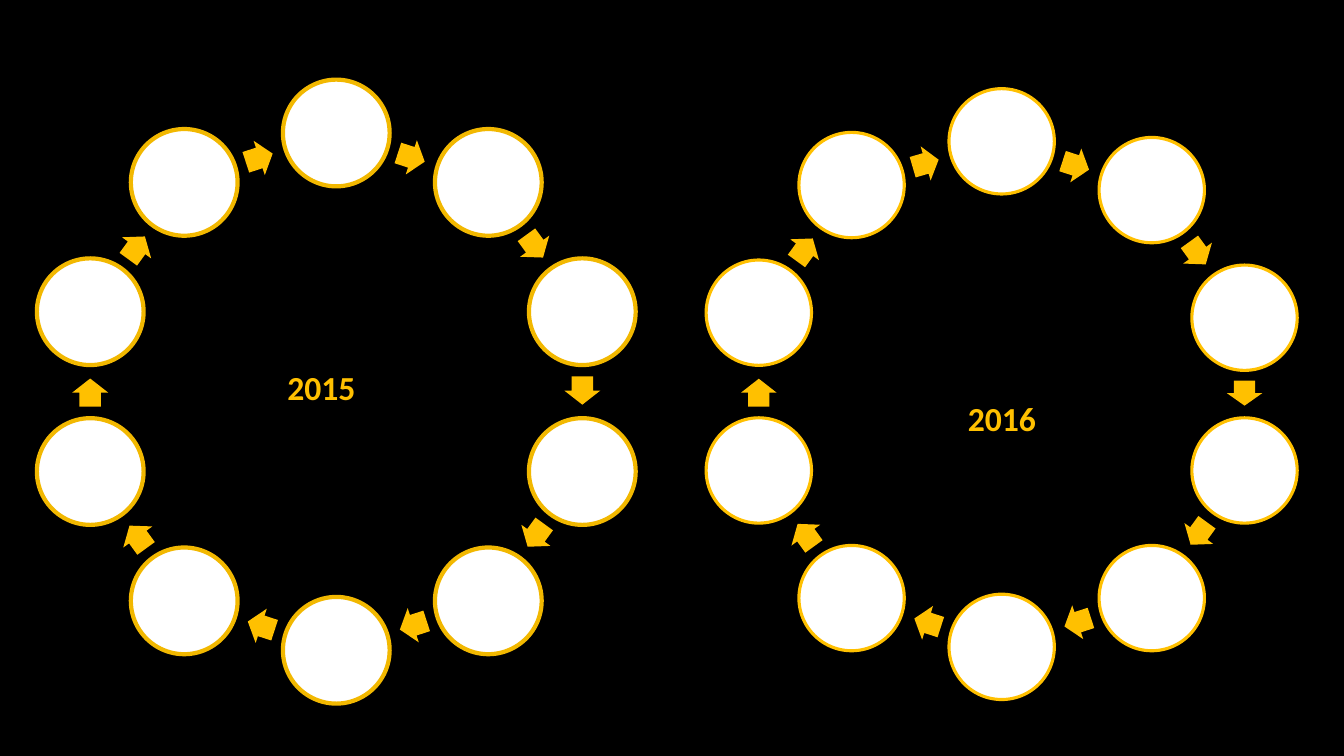
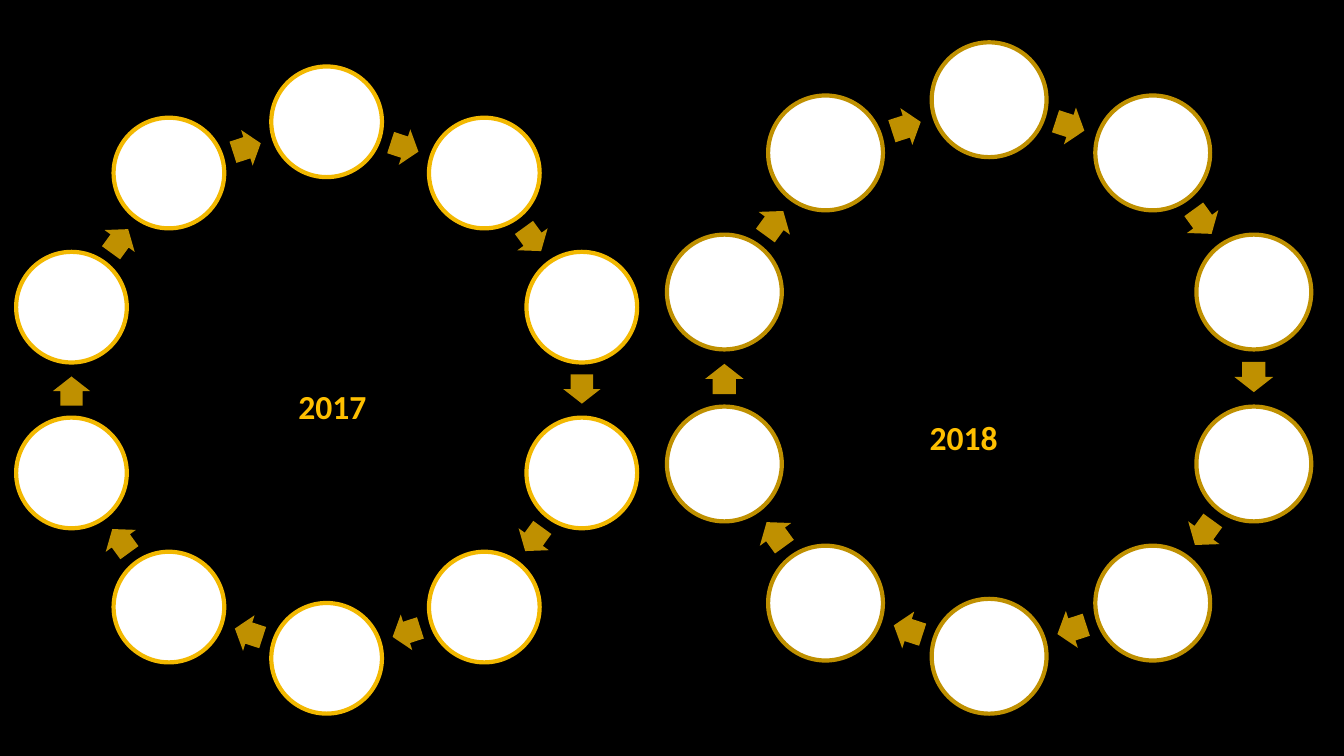
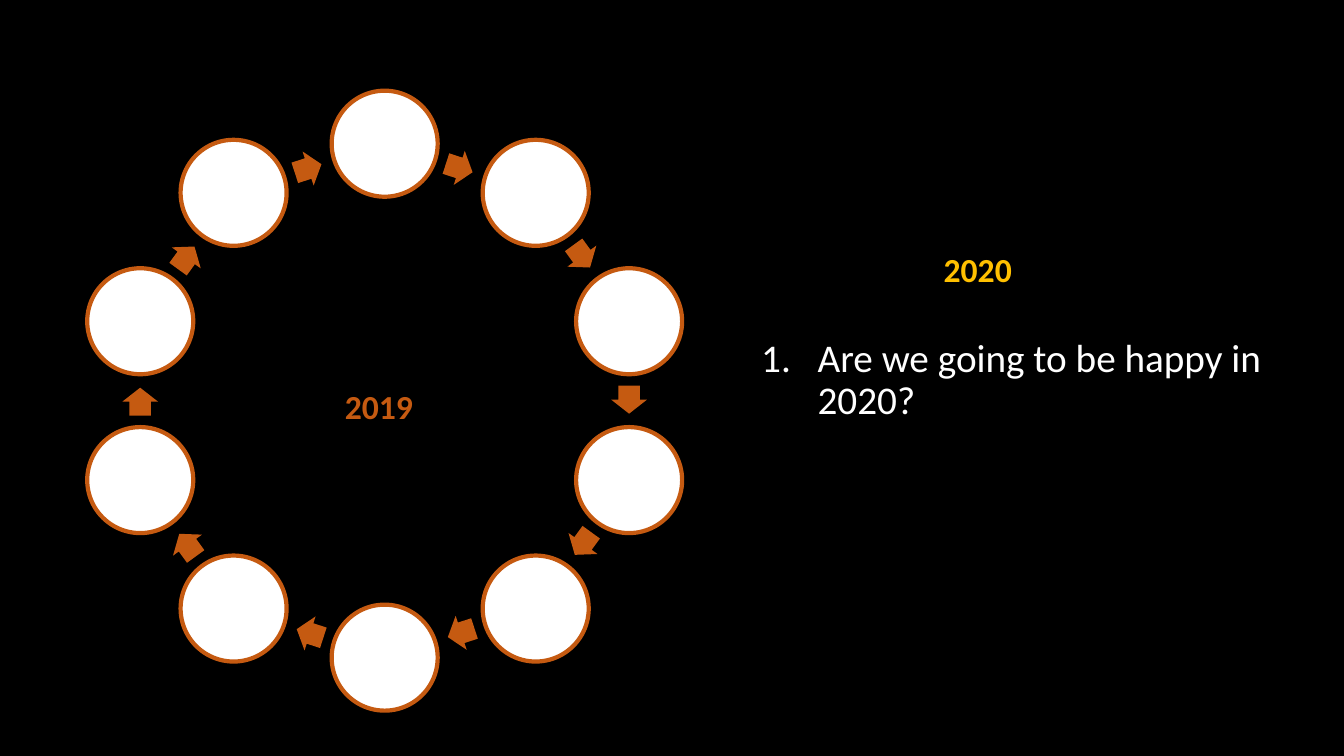
import math
from dataclasses import dataclass

import pptx
import pptx.dml.color
import pptx.enum.shapes
import pptx.enum.text
import pptx.util
from lxml import etree

Inches = pptx.util.Inches


@dataclass(frozen=True)
class Theme:
    background: str = "000000"
    white: str = "FFFFFF"
    gold: str = "FFC000"
    amber: str = "F2B800"
    bronze: str = "BF9000"
    rust: str = "C55A11"
    font: str = "Calibri"
    year_size: int = 24
    question_size: int = 28
    outline: float = 3
    thin_outline: float = 2.25


THEME = Theme()

# Ring proportions
STEPS = 10
NODE_SHARE = 0.171    # node diameter to ring side
ARROW_LENGTH = 0.53   # arrow length to gap between nodes
ARROW_WIDTH = 0.3375  # arrow width to node diameter
ARROW_LAG = 0.01      # arrows sit just short of the middle of the gap

# Placeholders of the Comparison layout
COMPARISON_LAYOUT = 4
LEFT_YEAR, RIGHT_YEAR, RIGHT_LIST = 1, 3, 4


def rgb(colour):
    return pptx.dml.color.RGBColor.from_string(colour)


def place(shape, box):
    shape.left, shape.top, shape.width, shape.height = map(Inches, box)


def fill_placeholder(slide, index, box, text, size, colour, bold):
    """Move a body placeholder and give it one formatted paragraph."""
    holder = slide.placeholders[index]
    place(holder, box)
    frame = holder.text_frame
    frame.text = text
    frame.word_wrap = True
    frame.auto_size = pptx.enum.text.MSO_AUTO_SIZE.NONE
    paragraph = frame.paragraphs[0]
    paragraph.line_spacing = 0.9
    paragraph.space_before = pptx.util.Pt(0)
    font = paragraph.runs[0].font
    font.name, font.size, font.bold = THEME.font, pptx.util.Pt(size), bold
    font.color.rgb = rgb(colour)
    return paragraph


def add_year(slide, index, box, year, colour=THEME.gold):
    fill_placeholder(slide, index, box, year, THEME.year_size, colour, True)


def add_questions(slide, box, question):
    """Numbered list with a hanging indent."""
    paragraph = fill_placeholder(slide, RIGHT_LIST, box, question,
                                 THEME.question_size, THEME.white, False)
    properties = paragraph._p.get_or_add_pPr()
    properties.set("marL", str(Inches(0.56)))
    properties.set("indent", str(Inches(-0.56)))
    numbering = etree.SubElement(properties, pptx.oxml.ns.qn("a:buAutoNum"))
    numbering.set("type", "arabicPeriod")


def add_part(ring, preset, centre, width, height, colour):
    """Add a flat shape around its centre."""
    part = ring.shapes.add_shape(
        preset, Inches(centre[0] - width / 2), Inches(centre[1] - height / 2),
        Inches(width), Inches(height))
    part.shadow.inherit = False
    part.fill.solid()
    part.fill.fore_color.rgb = rgb(colour)
    return part


def add_ring(slide, left, top, side, line, arrow_colour,
             outline=THEME.outline, lowered=(), drop=0.05):
    """Clockwise ring of nodes in a square box; lowered nodes sit by drop."""
    shapes = pptx.enum.shapes.MSO_SHAPE
    ring = slide.shapes.add_group_shape()
    diameter = side * NODE_SHARE
    radius = (side - diameter) / 2
    nodes = []
    for step in range(STEPS):
        angle = 2 * math.pi * step / STEPS
        nodes.append((left + side / 2 + radius * math.sin(angle),
                      top + side / 2 - radius * math.cos(angle)
                      + (drop if step in lowered else 0)))

    for step, (x, y) in enumerate(nodes):
        # Node
        node = add_part(ring, shapes.OVAL, (x, y), diameter, diameter,
                        THEME.white)
        node.line.color.rgb = rgb(line)
        node.line.width = pptx.util.Pt(outline)

        # Arrow to the next node
        next_x, next_y = nodes[(step + 1) % STEPS]
        distance = math.hypot(next_x - x, next_y - y)
        along = 0.5 - ARROW_LAG / distance
        arrow = add_part(
            ring, shapes.RIGHT_ARROW,
            (x + (next_x - x) * along, y + (next_y - y) * along),
            (distance - diameter) * ARROW_LENGTH, diameter * ARROW_WIDTH,
            arrow_colour)
        arrow.adjustments[0], arrow.adjustments[1] = 0.6, 0.5
        arrow.line.fill.background()
        arrow.rotation = math.degrees(
            math.atan2(next_y - y, next_x - x)) % 360


def add_slide(deck):
    return deck.slides.add_slide(deck.slide_layouts[COMPARISON_LAYOUT])


def remove_empty(slide):
    for holder in list(slide.placeholders):
        if not holder.text_frame.text:
            holder.element.getparent().remove(holder.element)


def build_2015_2016(deck):
    slide = add_slide(deck)
    add_year(slide, LEFT_YEAR, (2.75, 3.39, 1.07, 0.71), "2015")
    add_ring(slide, 0.24, 0.79, 6.19, THEME.amber, THEME.gold)
    add_year(slide, RIGHT_YEAR, (9.5, 3.81, 1.01, 0.59), "2016")
    add_ring(slide, 6.88, 0.83, 6.11, THEME.gold, THEME.gold,
             THEME.thin_outline, lowered=(0, 1, 2))
    remove_empty(slide)


def build_2017_2018(deck):
    slide = add_slide(deck)
    add_year(slide, LEFT_YEAR, (2.86, 3.67, 0.97, 0.61), "2017")
    add_ring(slide, 0.03, 0.66, 6.42, THEME.amber, THEME.bronze)
    add_year(slide, RIGHT_YEAR, (9.12, 4.04, 0.97, 0.55), "2018")
    add_ring(slide, 6.48, 0.42, 6.66, THEME.bronze, THEME.bronze)
    remove_empty(slide)


def build_2019_2020(deck):
    slide = add_slide(deck)
    add_year(slide, LEFT_YEAR, (3.32, 3.67, 0.99, 0.61), "2019", THEME.rust)
    add_ring(slide, 0.74, 0.9, 6.15, THEME.rust, THEME.rust)
    add_year(slide, RIGHT_YEAR, (9.26, 2.2, 1.72, 0.72), "2020")
    add_questions(slide, (7.45, 3.31, 5.67, 1.33),
                  "Are we going to be happy in 2020?")
    remove_empty(slide)


def main():
    deck = pptx.Presentation()
    deck.slide_width, deck.slide_height = Inches(13.33), Inches(7.5)
    backdrop = deck.slide_master.background.fill
    backdrop.solid()
    backdrop.fore_color.rgb = rgb(THEME.background)
    build_2015_2016(deck)
    build_2017_2018(deck)
    build_2019_2020(deck)
    deck.save("out.pptx")


if __name__ == "__main__":
    main()
